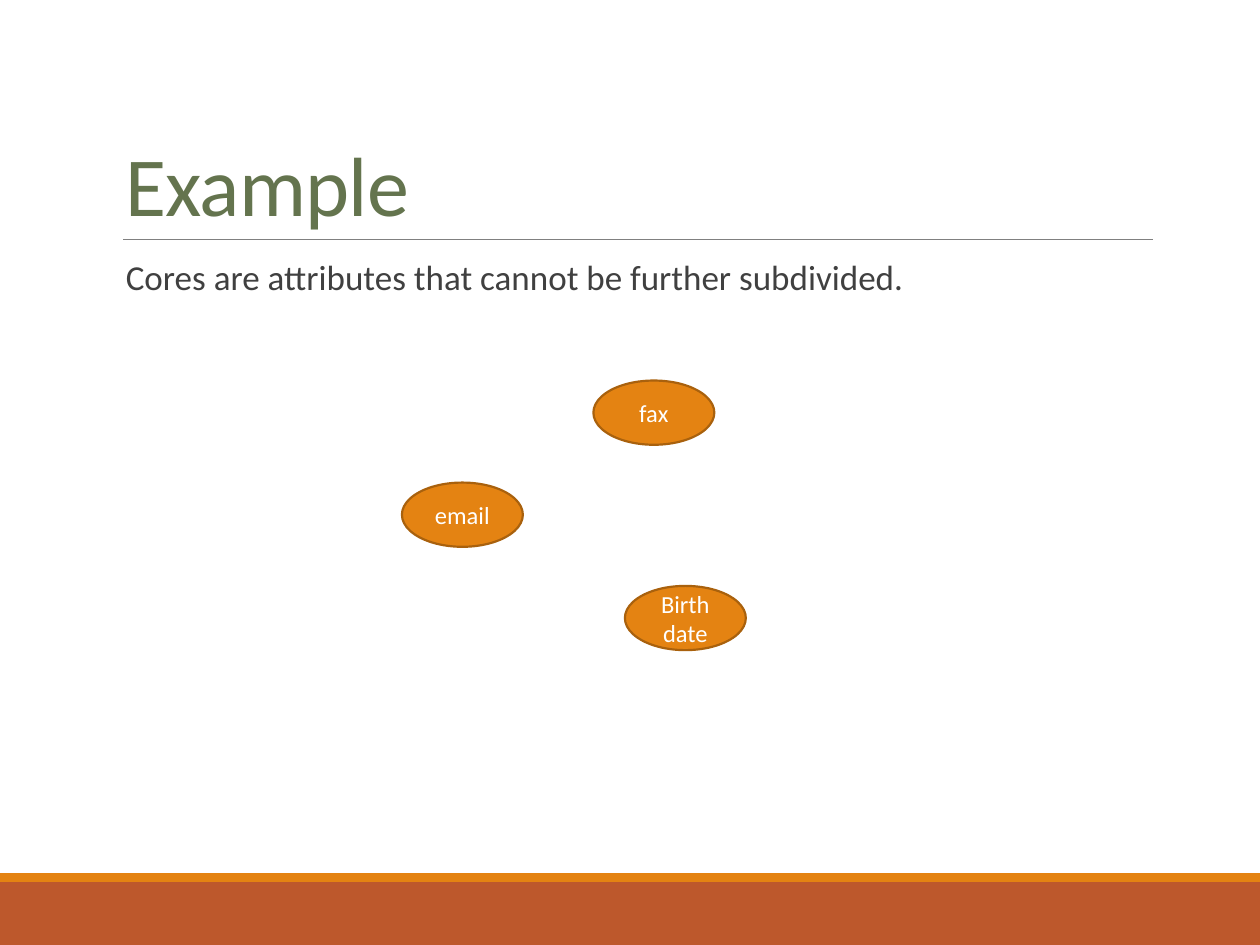
"""Build the slide of core attributes drawn as ovals."""
from dataclasses import dataclass

from lxml.etree import SubElement
from pptx import Presentation
from pptx.dml.color import RGBColor
from pptx.enum.shapes import MSO_CONNECTOR, MSO_SHAPE
from pptx.enum.text import MSO_ANCHOR, PP_ALIGN
from pptx.oxml.ns import qn
from pptx.util import Inches, Pt

ORANGE = RGBColor(0xE4, 0x83, 0x12)
DARK_ORANGE = RGBColor(0xA9, 0x61, 0x0D)
RUST = RGBColor(0xBD, 0x58, 0x2C)
GREEN = RGBColor(0x64, 0x74, 0x4E)
GRAY = RGBColor(0x80, 0x80, 0x80)
DARK_GRAY = RGBColor(0x40, 0x40, 0x40)
WHITE = RGBColor(0xFF, 0xFF, 0xFF)


@dataclass
class Box:
    left: float
    top: float
    width: float
    height: float

    def lengths(self) -> list:
        return [Inches(v) for v in (self.left, self.top, self.width, self.height)]


@dataclass
class Attribute:
    name: str
    left: float
    top: float


ATTRIBUTES = [
    Attribute("email", 3.19, 3.83),
    Attribute("fax", 4.71, 3.02),
    Attribute("Birth date", 4.96, 4.65),
]


def write(sp, text: str, *, size: float, color: RGBColor, anchor=MSO_ANCHOR.TOP,
          align=PP_ALIGN.LEFT, line_spacing: float = 1.0, before: float = 0,
          after: float = 0, tracking: float = 0) -> None:
    tf = sp.text_frame
    tf.word_wrap = True
    tf.vertical_anchor = anchor
    p = tf.paragraphs[0]
    p.alignment = align
    p.line_spacing = line_spacing
    p.space_before, p.space_after = Pt(before), Pt(after)
    r = p.add_run()
    r.text = text
    r.font.name = "Calibri"
    r.font.size = Pt(size)
    r.font.color.rgb = color
    if tracking:
        r.font._element.set("spc", str(round(tracking * 100)))


def add_filled(s, kind, box: Box, fill: RGBColor, line: RGBColor | None = None):
    sp = s.shapes.add_shape(kind, *box.lengths())
    sp.shadow.inherit = False
    sp.fill.solid()
    sp.fill.fore_color.rgb = fill
    if line is None:
        sp.line.fill.background()
    else:
        sp.line.color.rgb = line
        sp.line.width = Pt(1.25)
    return sp


def add_rule(s, left: float, right: float, y: float) -> None:
    rule = s.shapes.add_connector(
        MSO_CONNECTOR.STRAIGHT, Inches(left), Inches(y), Inches(right), Inches(y))
    rule.line.color.rgb = GRAY
    rule.line.width = Pt(0.5)
    SubElement(rule._element.spPr, qn("a:effectLst"))


def add_attribute(s, attribute: Attribute) -> None:
    box = Box(attribute.left, attribute.top, 0.96, 0.51)
    sp = add_filled(s, MSO_SHAPE.OVAL, box, ORANGE, DARK_ORANGE)
    write(sp, attribute.name, size=14, color=WHITE,
          anchor=MSO_ANCHOR.MIDDLE, align=PP_ALIGN.CENTER)


def main() -> None:
    prs = Presentation()
    prs.slide_width, prs.slide_height = Inches(10), Inches(7.5)
    s = prs.slides.add_slide(prs.slide_layouts[6])

    add_filled(s, MSO_SHAPE.RECTANGLE, Box(0, 7, 10, 0.5), RUST)
    add_filled(s, MSO_SHAPE.RECTANGLE, Box(0, 6.93, 10, 0.07), ORANGE)
    add_rule(s, 0.98, 9.15, 1.9)

    title = s.shapes.add_textbox(*Box(0.9, 0.31, 8.25, 1.59).lengths())
    write(title, "Example", size=48, color=GREEN, anchor=MSO_ANCHOR.BOTTOM,
          line_spacing=0.85, tracking=-0.5)

    body = s.shapes.add_textbox(*Box(0.9, 2.02, 8.25, 4.4).lengths())
    body.text_frame.margin_right = 0
    write(body, "Cores are attributes that cannot be further subdivided.",
          size=20, color=DARK_GRAY, line_spacing=0.9, before=12, after=2)

    for attribute in ATTRIBUTES:
        add_attribute(s, attribute)

    prs.save("out.pptx")


main()
